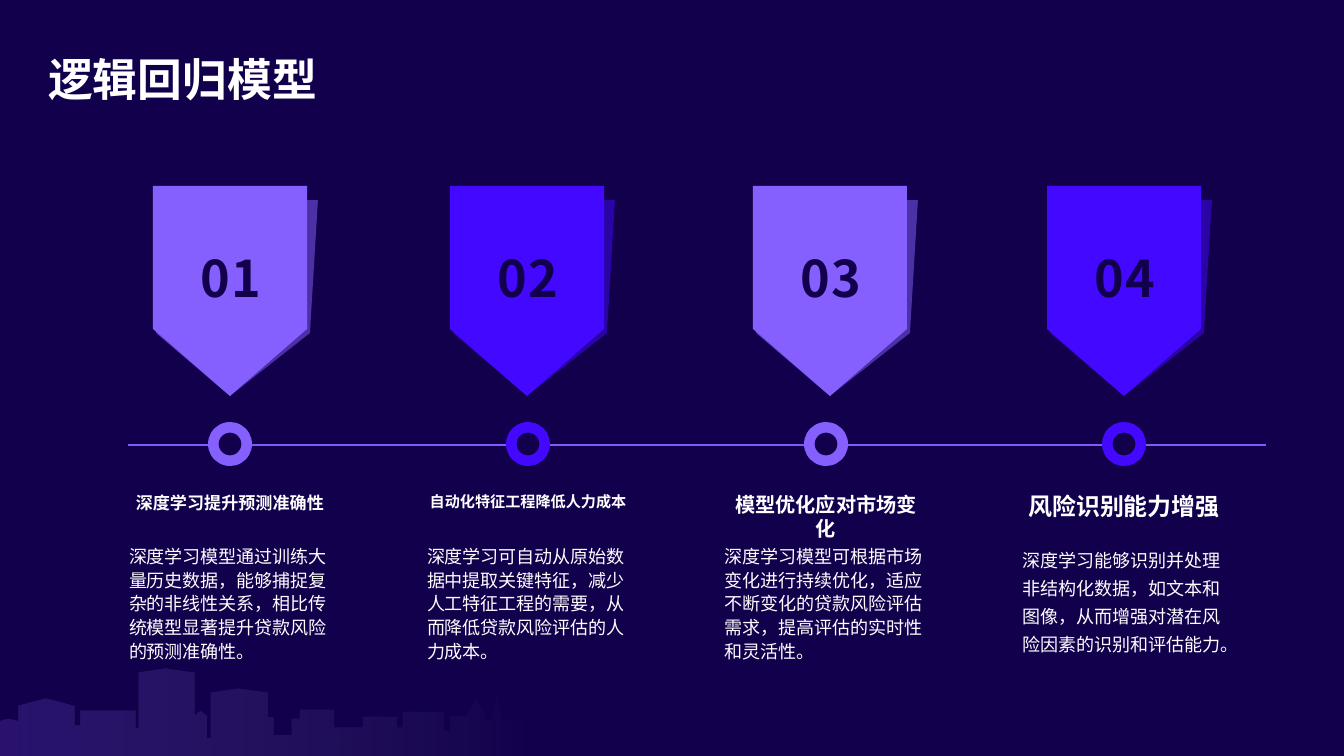
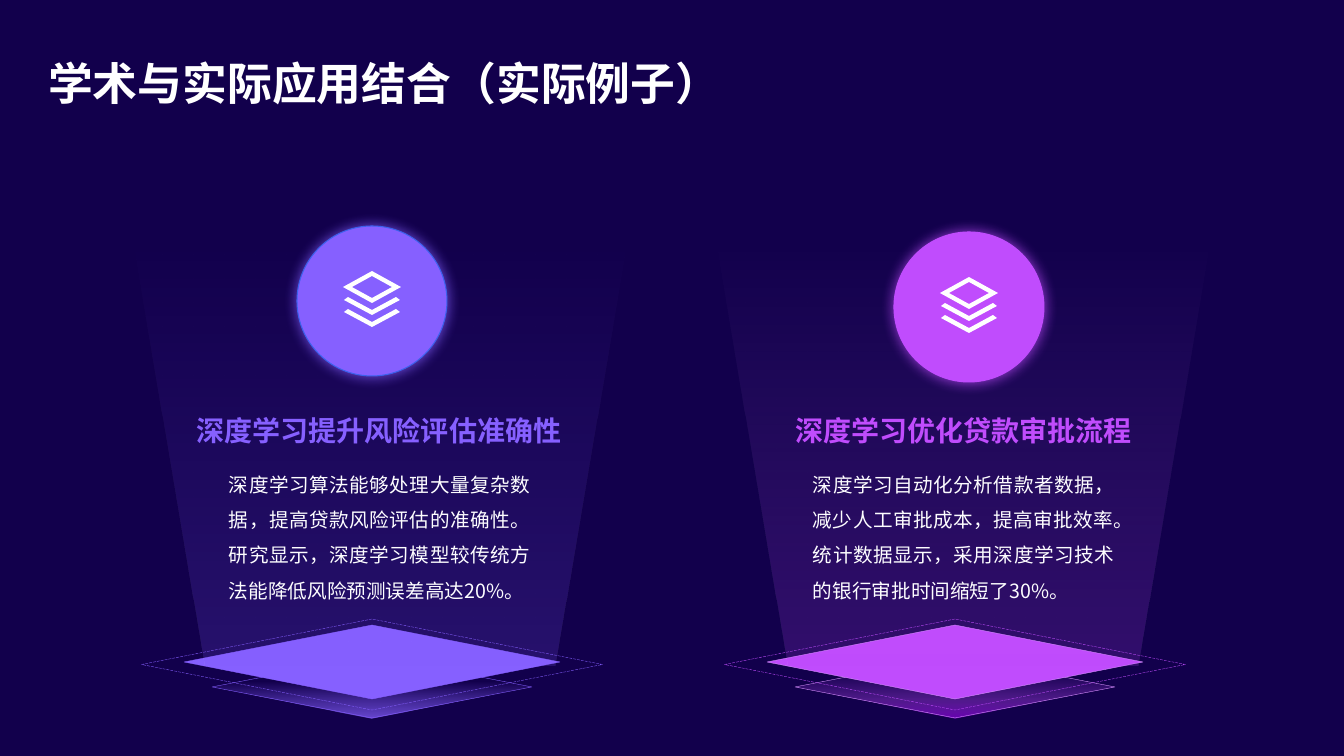
from lxml.etree import SubElement
from pptx import Presentation
from pptx.dml.color import RGBColor
from pptx.enum.dml import MSO_LINE
from pptx.enum.shapes import MSO_CONNECTOR, MSO_SHAPE
from pptx.enum.text import MSO_ANCHOR, MSO_AUTO_SIZE, PP_ALIGN
from pptx.oxml.ns import qn
from pptx.util import Pt

WIDTH, HEIGHT = 1344, 756
SCALE = 12192000 / WIDTH
FONT = "Noto Sans CJK SC"
COLORS = {
    "night": "12004C",
    "violet": "8660FF",
    "blue": "4308FF",
    "purple": "C04CFD",
    "lilac": "D994FE",
    "deep": "A103F4",
    "axis": "815AFD",
    "rim": "3B61ED",
    "pale": "F9F7FF",
    "body": "FDFDFF",
    "white": "FFFFFF",
}

# Left edge, roof height and, for a gable, its rise; each roof runs to the next
ROOFS = [
    (0, 721, 2), (18, 706, 7), (74, 725), (80, 711), (135, 728), (138, 673, 4),
    (194, 716, 5), (206, 738), (210, 693, 4), (267, 717), (273, 735), (291, 719),
    (299, 710), (333, 727), (362, 717), (396, 727), (402, 712), (443, 731),
    (449, 716), (466, 714, 14), (484, 720), (491, 715, 20), (500, 720), (536, 731),
]
SKYLINE_END = 548
SHIELD = [(-77, 186), (77, 186), (77, 329), (0, 396), (-77, 329)]
FOLD = [(88, 200), (-66, 200), (-74, 333), (0, 396), (80, 333)]
CHEVRON = [(24, 0), (28, 3), (0, 18), (-28, 3), (-24, 0), (0, 13)]

# Shield centre, colour, heading, heading size, line spacing, body
STEPS = [
    (230, "violet", "深度学习提升预测准确性", 12.2, 1.1,
     "深度学习模型通过训练大量历史数据，能够捕捉复杂的非线性关系，相比传统模型显著提升贷款风险的预测准确性。"),
    (527, "blue", "自动化特征工程降低人力成本", 10.8, 1.1,
     "深度学习可自动从原始数据中提取关键特征，减少人工特征工程的需要，从而降低贷款风险评估的人力成本。"),
    (830, "violet", "模型优化应对市场变化", 14.4, 1.1,
     "深度学习模型可根据市场变化进行持续优化，适应不断变化的贷款风险评估需求，提高评估的实时性和灵活性。"),
    (1124, "blue", "风险识别能力增强", 17.1, 1.3,
     "深度学习能够识别并处理非结构化数据，如文本和图像，从而增强对潜在风险因素的识别和评估能力。"),
]


def px(n):
    return round(n * SCALE)


def rgb(name):
    return RGBColor.from_string(COLORS[name])


def moved(points, dx, dy=0):
    return [(x + dx, y + dy) for x, y in points]


def rhombus(half_w, half_h):
    return [(0, -half_h), (half_w, 0), (0, half_h), (-half_w, 0)]


def skyline_points():
    ends = [roof[0] for roof in ROOFS[1:]] + [SKYLINE_END]
    points = [(0, HEIGHT)]
    for (left, top, *rise), right in zip(ROOFS, ends):
        points.append((left, top))
        if rise:
            points.append(((left + right) / 2, top - rise[0]))
        points.append((right, top))
    return points + [(SKYLINE_END, HEIGHT)]


def add_color(parent, name, alpha):
    clr = SubElement(parent, qn("a:srgbClr"), val=COLORS[name])
    SubElement(clr, qn("a:alpha"), val=str(alpha * 1000))


def paint(sp, fill=None, alpha=100, line=None, width=0.25):
    """Set a flat fill and an outline; None leaves either one off."""
    sp.shadow.inherit = False
    if fill:
        sp.fill.solid()
        sp.fill.fore_color.rgb = rgb(fill)
        if alpha < 100:
            clr = sp._element.spPr.find(qn("a:solidFill"))[0]
            SubElement(clr, qn("a:alpha"), val=str(alpha * 1000))
    else:
        sp.fill.background()
    if line:
        sp.line.color.rgb = rgb(line)
        sp.line.width = Pt(width)
    else:
        sp.line.fill.background()
    return sp


def paint_gradient(sp, stops, angle):
    """Replace an empty fill by stops of (position, colour, opacity)."""
    props = sp._element.spPr
    grad = props.makeelement(qn("a:gradFill"), {"rotWithShape": "1"})
    stop_list = SubElement(grad, qn("a:gsLst"))
    for pos, name, alpha in stops:
        add_color(SubElement(stop_list, qn("a:gs"), pos=str(pos * 1000)), name, alpha)
    SubElement(grad, qn("a:lin"), ang=str(angle * 60000), scaled="0")
    props.replace(props.find(qn("a:noFill")), grad)


def add_glow(sp, name):
    effects = sp._element.spPr.find(qn("a:effectLst"))
    glow = SubElement(effects, qn("a:outerShdw"), blurRad=str(Pt(10)), dist="0",
                      dir="0", algn="ctr", rotWithShape="0")
    add_color(glow, name, 80)


def add_preset(s, kind, cx, y, w, h, **look):
    """Add a preset shape centred on cx."""
    return paint(s.shapes.add_shape(kind, px(cx - w / 2), px(y), px(w), px(h)), **look)


def add_outline(s, *contours, **look):
    first, *others = contours
    fb = s.shapes.build_freeform(*first[0], scale=SCALE)
    fb.add_line_segments(first[1:], close=True)
    for points in others:
        fb.move_to(*points[0])
        fb.add_line_segments(points[1:], close=True)
    return paint(fb.convert_to_shape(), **look)


def write(tf, text, size, color="white", bold=False, align=PP_ALIGN.LEFT,
          anchor=MSO_ANCHOR.TOP, spacing=1.0, after=0, tracking=0, inset=None):
    tf.word_wrap = True
    tf.auto_size = MSO_AUTO_SIZE.NONE
    tf.vertical_anchor = anchor
    if inset:
        tf.margin_left = tf.margin_right = px(inset[0])
        tf.margin_top = tf.margin_bottom = px(inset[1])
    p = tf.paragraphs[0]
    p.alignment, p.line_spacing, p.space_after = align, spacing, Pt(after)
    r = p.add_run()
    r.text = text
    r.font.size, r.font.bold, r.font.name = Pt(size), bold, FONT
    r.font.color.rgb = rgb(color)
    props = r.font._element
    SubElement(props, qn("a:ea"), typeface=FONT)
    if tracking:
        props.set("spc", str(tracking * 100))


def add_text(s, text, x, y, w, h, **fmt):
    box = s.shapes.add_textbox(px(x), px(y), px(w), px(h))
    write(box.text_frame, text, **fmt)


def add_slide(prs, title, title_y):
    s = prs.slides.add_slide(prs.slide_layouts[5])
    sp = s.shapes.title
    sp.left, sp.top, sp.width, sp.height = px(38), px(title_y), px(1267), px(80)
    write(sp.text_frame, title, size=32, bold=True, anchor=MSO_ANCHOR.MIDDLE, spacing=1.2)
    return s


def add_axis(s):
    line = s.shapes.add_connector(MSO_CONNECTOR.STRAIGHT, px(128), px(445), px(1266), px(445))
    line.line.color.rgb = rgb("axis")
    line.line.width = Pt(0.75)
    SubElement(line._element.spPr, qn("a:effectLst"))


def add_step(s, index, shield_cx, color, heading, size, spacing, body):
    ring_cx = 230 + 298 * index
    text_x = ring_cx - 109
    add_outline(s, moved(FOLD, shield_cx), fill=color, alpha=50)
    add_outline(s, moved(SHIELD, shield_cx), fill=color)
    add_preset(s, MSO_SHAPE.OVAL, ring_cx, 427, 34, 34, fill="night")
    ring = add_preset(s, MSO_SHAPE.DONUT, ring_cx, 422, 44, 44, fill=color)
    ring.adjustments[0] = 0.24
    add_text(s, f"{index + 1:02}", shield_cx - 51, 242, 103, 72, size=36, color="night",
             bold=True, align=PP_ALIGN.CENTER, tracking=1)
    add_text(s, heading, text_x, 487, 218, 40, size=size, bold=True, align=PP_ALIGN.CENTER)
    add_text(s, body, text_x, 539, 218, 129, size=12.9, color="body",
             spacing=spacing, after=3, inset=(8, 4))


def add_stage(s, cx, color, edge, base_stops, beam_end):
    """Add the platform of diamonds with its beam of light."""
    base = add_preset(s, MSO_SHAPE.DIAMOND, cx, 656, 320, 62, line=edge)
    paint_gradient(base, base_stops, 90)
    add_preset(s, MSO_SHAPE.DIAMOND, cx, 625, 376, 74, fill=color, line=edge)
    halo = add_preset(s, MSO_SHAPE.DIAMOND, cx, 619, 461, 91, line=color)
    halo.line.dash_style = MSO_LINE.LONG_DASH
    beam = add_preset(s, MSO_SHAPE.TRAPEZOID, cx + 8, 231, 497, 434)
    beam.rotation = 180
    beam.adjustments[0] = 0.17
    paint_gradient(beam, [(0, color, 19), (100, beam_end, 0)], 90)


def add_badge(s, cx, y, color, rim):
    disc = add_preset(s, MSO_SHAPE.OVAL, cx, y, 150, 150, fill=color, line=rim, width=0.75)
    add_glow(disc, color)
    tile_y = y + 61
    add_outline(s, moved(CHEVRON, cx, tile_y + 22), moved(CHEVRON, cx, tile_y + 10),
                moved(rhombus(29, 16), cx, tile_y), moved(rhombus(20, 11), cx, tile_y),
                fill="white")


def add_case(s, color, heading, heading_x, heading_w, body, body_x):
    add_text(s, heading, heading_x, 405, heading_w, 50, size=20, color=color, bold=True,
             align=PP_ALIGN.CENTER, anchor=MSO_ANCHOR.MIDDLE)
    add_text(s, body, body_x, 456, 321, 157, size=14, color="body",
             align=PP_ALIGN.JUSTIFY, spacing=1.5, after=3)


def build_model_slide(prs):
    s = add_slide(prs, "逻辑回归模型", 33)
    skyline = add_outline(s, skyline_points())
    paint_gradient(skyline, [(0, "pale", 0), (100, "violet", 20)], 180)
    add_axis(s)
    for index, step in enumerate(STEPS):
        add_step(s, index, *step)


def build_cases_slide(prs):
    s = add_slide(prs, "学术与实际应用结合（实际例子）", 37)
    add_stage(s, 372, "violet", "violet",
              [(41, "violet", 0), (72, "violet", 42), (100, "violet", 74)], "violet")
    add_stage(s, 955, "purple", "lilac",
              [(27, "purple", 2), (68, "purple", 34), (100, "deep", 60)], "lilac")
    add_badge(s, 372, 226, "violet", "rim")
    add_badge(s, 969, 232, "purple", "purple")
    add_case(s, "violet", "深度学习提升风险评估准确性", 179, 400,
             "深度学习算法能够处理大量复杂数据，提高贷款风险评估的准确性。"
             "研究显示，深度学习模型较传统方法能降低风险预测误差高达20%。", 219)
    add_case(s, "purple", "深度学习优化贷款审批流程", 767, 393,
             "深度学习自动化分析借款者数据，减少人工审批成本，提高审批效率。"
             "统计数据显示，采用深度学习技术的银行审批时间缩短了30%。", 803)


def main():
    prs = Presentation()
    prs.slide_width, prs.slide_height = px(WIDTH), px(HEIGHT)
    background = prs.slide_master.background.fill
    background.solid()
    background.fore_color.rgb = rgb("night")
    build_model_slide(prs)
    build_cases_slide(prs)
    prs.save("out.pptx")


if __name__ == "__main__":
    main()
